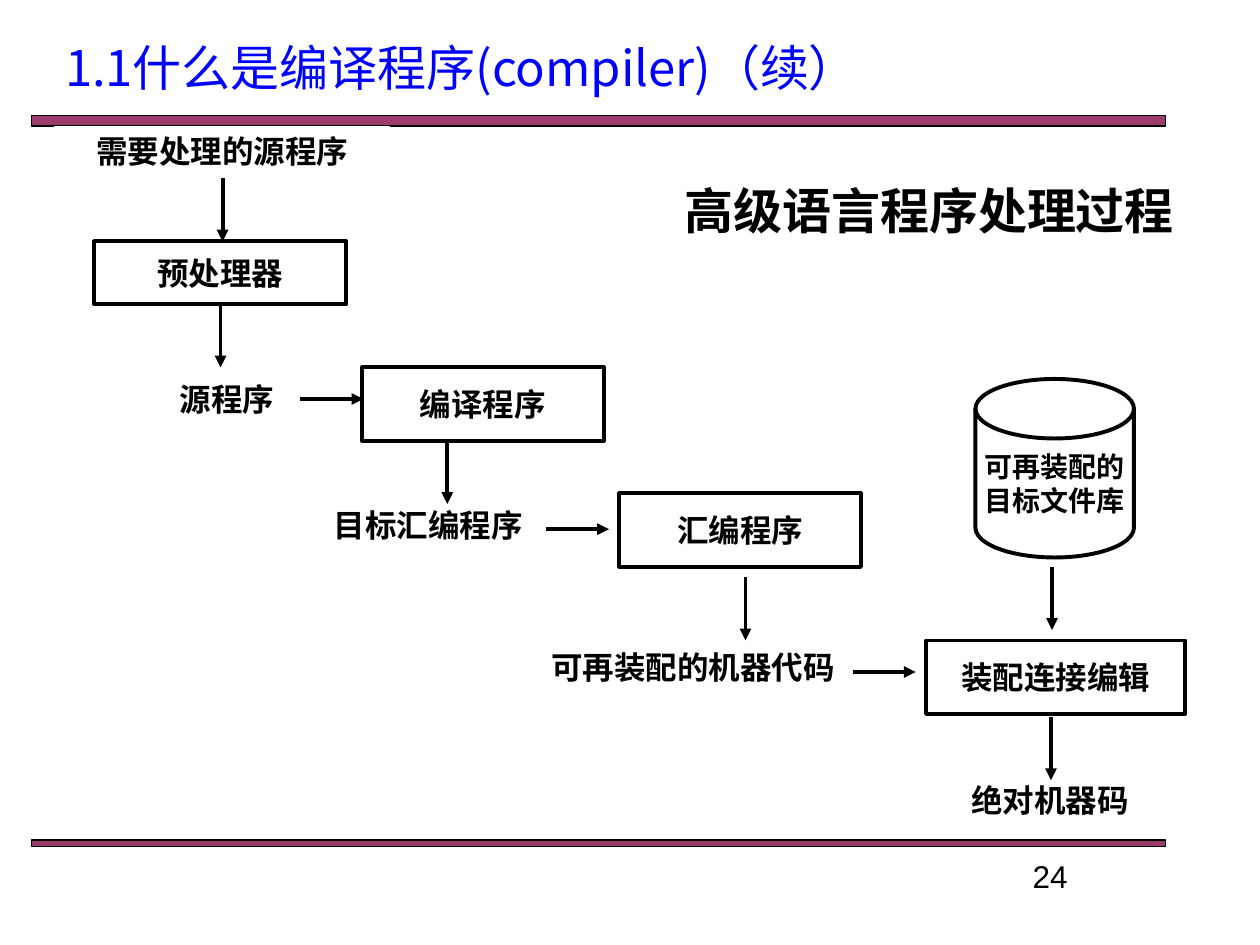
from lxml import etree
from pptx import Presentation
from pptx.dml.color import RGBColor
from pptx.enum.dml import MSO_LINE
from pptx.enum.shapes import MSO_CONNECTOR, MSO_SHAPE
from pptx.enum.text import MSO_ANCHOR, MSO_AUTO_SIZE, PP_ALIGN
from pptx.oxml.ns import qn
from pptx.util import Inches, Pt

COLUMNS, ROWS = 120, 90
SLIDE_WIDTH, SLIDE_HEIGHT = Inches(10), Inches(7.5)
CHINESE_FONT = "Noto Sans CJK SC"
BLACK, WHITE, BLUE, PLUM = "000000", "FFFFFF", "0000FF", "993366"

# Places are (column, row, columns wide, rows high) on the grid.
TITLE = ("1.1什么是编译程序(compiler)（续）", (5, 3, 108, 10))
HEADING = ("高级语言程序处理过程", (67, 14, 43, 12))
PAGE_NUMBER = ("24", (86, 81, 28, 5))
RULES = [(3, 11, 108, 1), (3, 80, 108, 0.6)]
PROCESSORS = [
    ("预处理器", (9, 23, 24, 6)),
    ("编译程序", (34.5, 35, 23, 7)),
    ("汇编程序", (59, 47, 23, 7)),
    ("装配连接编辑", (88.2, 61, 24.7, 7)),
]
PROGRAMS = [
    ("需要处理的源程序", (5.2, 12, 31.9, 4.7)),
    ("源程序", (11.6, 35, 20, 6)),
    ("目标汇编程序", (27.8, 47, 26, 6)),
    ("可再装配的机器代码", (48, 60, 36, 7)),
    ("绝对机器码", (86, 73.2, 28, 6)),
]
LIBRARY = ("可再装配的\n目标文件库", (92.9, 36.1, 15.1, 17))
ARROW_LENGTH = 6
DOWN_ARROWS = [(21.2, 17), (42.6, 42), (71, 55), (100.2, 54), (100.1, 68.3)]
RIGHT_ARROWS = [(28.6, 38), (52, 50.4), (81.2, 64)]
PREPROCESSOR_EXIT = (21, 29)


def color(value):
    return RGBColor.from_string(value)


def across(columns):
    return round(SLIDE_WIDTH * columns / COLUMNS)


def down(rows):
    return round(SLIDE_HEIGHT * rows / ROWS)


def grid_box(place):
    left, top, width, height = place
    return across(left), down(top), across(width), down(height)


def write(shape, text, size, bold=False, font_color=BLACK, font_name=CHINESE_FONT,
          align=PP_ALIGN.CENTER, anchor=MSO_ANCHOR.MIDDLE, wrap=False):
    frame = shape.text_frame
    frame.text = text
    frame.auto_size = MSO_AUTO_SIZE.NONE
    frame.word_wrap = wrap
    frame.vertical_anchor = anchor
    for paragraph in frame.paragraphs:
        paragraph.alignment = align
        for run in paragraph.runs:
            for name, value in dict(size=Pt(size), bold=bold, name=font_name).items():
                setattr(run.font, name, value)
            run.font.color.rgb = color(font_color)
            east_asian = etree.SubElement(run.font._element, qn("a:ea"))
            east_asian.set("typeface", font_name)


def add_shape(slide, place, kind=MSO_SHAPE.RECTANGLE, fill=WHITE, line=BLACK, weight=2.25):
    shape = slide.shapes.add_shape(kind, *grid_box(place))
    shape.shadow.inherit = False
    shape.fill.solid()
    shape.fill.fore_color.rgb = color(fill)
    shape.line.color.rgb = color(line)
    shape.line.width = Pt(weight)
    return shape


def add_arrow(slide, start, columns=0, rows=0):
    column, row = start
    arrow = slide.shapes.add_connector(
        MSO_CONNECTOR.STRAIGHT, across(column), down(row),
        across(column + columns), down(row + rows))
    arrow.line.color.rgb = color(BLACK)
    arrow.line.width = Pt(2.25)
    etree.SubElement(arrow.line._get_or_add_ln(), qn("a:tailEnd")).set("type", "triangle")
    etree.SubElement(arrow._element.spPr, qn("a:effectLst"))
    return arrow


def add_frame(slide):
    """Draw the two rules, the title and the page number."""
    for place in RULES:
        rule = add_shape(slide, place, fill=PLUM, weight=0.75)
        fill_color = rule._element.spPr.find(qn("a:solidFill"))[0]
        etree.SubElement(fill_color, qn("a:alpha")).set("val", "96000")

    text, place = TITLE
    title = slide.shapes.title
    title.left, title.top, title.width, title.height = grid_box(place)
    write(title, text, 28, font_color=BLUE, align=PP_ALIGN.LEFT,
          anchor=MSO_ANCHOR.TOP, wrap=True)

    text, place = PAGE_NUMBER
    number = slide.shapes.add_textbox(*grid_box(place))
    write(number, text, 18, font_name="Arial", anchor=MSO_ANCHOR.TOP, wrap=True)


def add_flow(slide):
    """Draw the processors, the programs passed between them and the arrows."""
    processors = []
    for text, place in PROCESSORS:
        processors.append(add_shape(slide, place))
        write(processors[-1], text, 18, bold=True)
    for text, place in PROGRAMS:
        program = add_shape(slide, place, line=WHITE, weight=0.5)
        program.line.dash_style = MSO_LINE.ROUND_DOT
        write(program, text, 18, bold=True)

    text, place = LIBRARY
    library = add_shape(slide, place, kind=MSO_SHAPE.FLOWCHART_MAGNETIC_DISK)
    write(library, text, 16, bold=True)
    text, place = HEADING
    write(add_shape(slide, place, line=WHITE), text, 28, bold=True)

    for start in DOWN_ARROWS:
        add_arrow(slide, start, rows=ARROW_LENGTH)
    for start in RIGHT_ARROWS:
        add_arrow(slide, start, columns=ARROW_LENGTH)
    exit_arrow = add_arrow(slide, PREPROCESSOR_EXIT, rows=ARROW_LENGTH)
    exit_arrow.begin_connect(processors[0], 2)


def main():
    presentation = Presentation()
    presentation.slide_width, presentation.slide_height = SLIDE_WIDTH, SLIDE_HEIGHT
    slide = presentation.slides.add_slide(presentation.slide_layouts[5])
    add_frame(slide)
    add_flow(slide)
    presentation.save("out.pptx")


if __name__ == "__main__":
    main()
